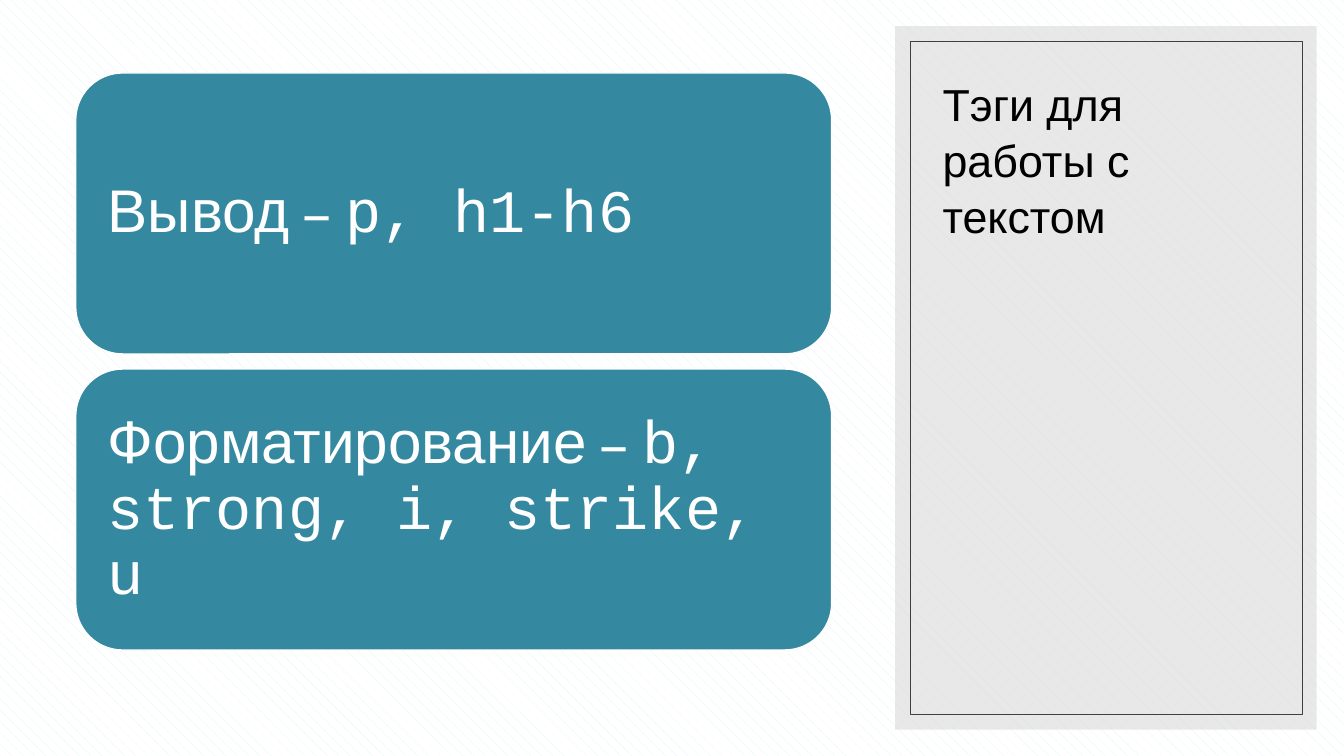
from dataclasses import dataclass

from pptx import Presentation
from pptx.dml.color import RGBColor
from pptx.enum.dml import MSO_PATTERN
from pptx.enum.shapes import MSO_SHAPE
from pptx.enum.text import MSO_ANCHOR, PP_ALIGN
from pptx.oxml.ns import qn
from pptx.util import Cm, Pt
from lxml import etree

SHINGLE = MSO_PATTERN.SHINGLE
RECTANGLE = MSO_SHAPE.RECTANGLE
ROUNDED = MSO_SHAPE.ROUNDED_RECTANGLE
LEFT = PP_ALIGN.LEFT
MIDDLE = MSO_ANCHOR.MIDDLE
BOTTOM = MSO_ANCHOR.BOTTOM
TITLE_ONLY = 5


@dataclass(frozen=True)
class Theme:
    """Colours, fonts and type sizes of the slide."""
    stripe: RGBColor = RGBColor(0xDE, 0xF4, 0xF7)
    white: RGBColor = RGBColor(0xFF, 0xFF, 0xFF)
    black: RGBColor = RGBColor(0, 0, 0)
    panel: RGBColor = RGBColor(0xD9, 0xD9, 0xD9)
    frame: RGBColor = RGBColor(0x40, 0x40, 0x40)
    card: RGBColor = RGBColor(0x34, 0x88, 0xA0)
    text_font: str = "Arial"
    dash_font: str = "League Spartan"
    code_font: str = "Courier New"
    title_size: Pt = Pt(32)
    card_size: Pt = Pt(43)


THEME = Theme()
CARDS = [
    ("Вывод", "p, h1-h6"),
    ("Форматирование", "b, strong, i, strike, u"),
]
CARD_TOP, CARD_HEIGHT, CARD_GAP = 1.84, 7.08, 0.38


def style_run(run, font, size, color):
    """Give a run its font, size and colour."""
    run.font.name = font
    run.font.size = size
    run.font.color.rgb = color


def paint_background(slide):
    """Cover the slide with a pale diagonal pattern."""
    fill = slide.background.fill
    fill.patterned()
    fill.pattern = SHINGLE
    fill.fore_color.rgb = THEME.stripe
    fill.back_color.rgb = THEME.white


def add_side_panel(slide):
    """Draw the translucent side panel and its thin inner frame."""
    panel = slide.shapes.add_shape(RECTANGLE, Cm(22.56), Cm(0.66), Cm(10.62), Cm(17.73))
    panel.shadow.inherit = False
    panel.fill.solid()
    panel.fill.fore_color.rgb = THEME.panel
    panel.line.fill.background()
    color = panel.element.spPr.find(qn("a:solidFill"))[0]
    etree.SubElement(color, qn("a:alpha"), val="60000")

    frame = slide.shapes.add_shape(RECTANGLE, Cm(22.94), Cm(1.04), Cm(9.88), Cm(16.97))
    frame.shadow.inherit = False
    frame.fill.background()
    frame.line.color.rgb = THEME.frame
    frame.line.width = Pt(0.5)


def set_title(slide, wording):
    """Place the title in front of the side panel."""
    title = slide.shapes.title
    title.left, title.top, title.width, title.height = Cm(23.5), Cm(1.68), Cm(8.79), Cm(4.57)
    title.element.getparent().append(title.element)
    title.text_frame.text = wording
    title.text_frame.word_wrap = True
    title.text_frame.vertical_anchor = BOTTOM
    paragraph = title.text_frame.paragraphs[0]
    paragraph.alignment = LEFT
    paragraph.line_spacing = 1.05
    style_run(paragraph.runs[0], THEME.text_font, THEME.title_size, THEME.black)


def add_card(slide, top, topic, tags):
    """Draw a rounded card that names a topic and its tags."""
    card = slide.shapes.add_shape(ROUNDED, Cm(1.91), Cm(top), Cm(19.05), Cm(CARD_HEIGHT))
    card.shadow.inherit = False
    card.fill.solid()
    card.fill.fore_color.rgb = THEME.card
    card.line.color.rgb = THEME.white
    card.line.width = Pt(1)
    frame = card.text_frame
    frame.word_wrap = True
    frame.vertical_anchor = MIDDLE
    frame.margin_left = frame.margin_right = Cm(0.46)
    frame.margin_top = frame.margin_bottom = Cm(0.46)
    paragraph = frame.paragraphs[0]
    paragraph.alignment = LEFT
    paragraph.line_spacing = 0.9
    fonts = (THEME.text_font, THEME.dash_font, THEME.code_font)
    for wording, font in zip((topic, " – ", tags), fonts):
        run = paragraph.add_run()
        run.text = wording
        style_run(run, font, THEME.card_size, THEME.white)


def main():
    """Build the slide on tags for working with text."""
    deck = Presentation()
    deck.slide_width, deck.slide_height = Cm(33.87), Cm(19.05)
    slide = deck.slides.add_slide(deck.slide_layouts[TITLE_ONLY])
    paint_background(slide)
    add_side_panel(slide)
    set_title(slide, "Тэги для работы с текстом")
    for row, (topic, tags) in enumerate(CARDS):
        add_card(slide, CARD_TOP + row * (CARD_HEIGHT + CARD_GAP), topic, tags)
    deck.save("out.pptx")


if __name__ == "__main__":
    main()
